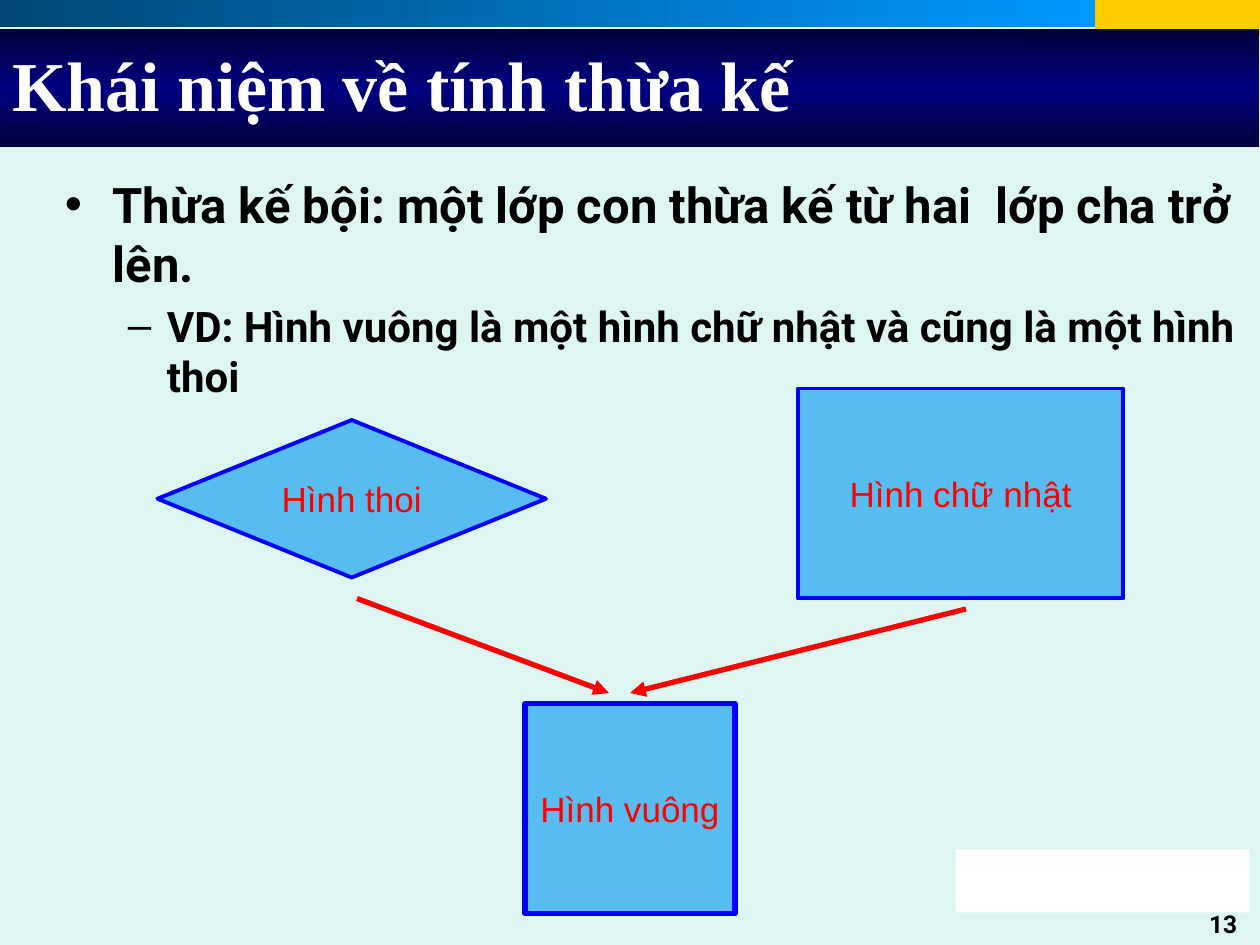
"""Build the slide on multiple inheritance, with a square derived from two parent shapes."""
import copy
from dataclasses import dataclass

import pptx
import pptx.dml.color
import pptx.enum.shapes
import pptx.enum.text
import pptx.oxml
import pptx.oxml.ns
import pptx.util

RGB = pptx.dml.color.RGBColor
SHAPE = pptx.enum.shapes.MSO_SHAPE
ALIGN = pptx.enum.text.PP_ALIGN
ANCHOR = pptx.enum.text.MSO_ANCHOR
qn = pptx.oxml.ns.qn

EMU_PER_PX = 7620
BACKGROUND = RGB(0xDE, 0xF6, 0xF1)
GOLD = RGB(0xFF, 0xCC, 0x00)
DEEP_BLUE = RGB(0x00, 0x47, 0x76)
BRIGHT_BLUE = RGB(0x00, 0x99, 0xFF)
MIDNIGHT = RGB(0x00, 0x00, 0x3B)
NAVY = RGB(0x00, 0x00, 0x80)
SKY = RGB(0x57, 0xBC, 0xEF)
BLUE = RGB(0x00, 0x00, 0xFF)
RED = RGB(0xFF, 0x00, 0x00)
WHITE = RGB(0xFF, 0xFF, 0xFF)
BLACK = RGB(0x00, 0x00, 0x00)


@dataclass(frozen=True)
class Box:
    left: int
    top: int
    width: int
    height: int

    def emu(self) -> list[int]:
        return [px * EMU_PER_PX for px in (self.left, self.top, self.width, self.height)]


@dataclass(frozen=True)
class Band:
    box: Box
    colors: tuple[RGB, ...]
    angle: int = 0


@dataclass(frozen=True)
class ClassNode:
    label: str
    outline: SHAPE
    box: Box
    border: float


@dataclass(frozen=True)
class Inheritance:
    parent: tuple[int, int]
    child: tuple[int, int]


@dataclass(frozen=True)
class Point:
    text: str
    bullet: str
    level: int
    size: int
    margin: float
    hanging: float
    before: float


BANDS = (
    Band(Box(1043, 0, 157, 34), (GOLD,)),
    Band(Box(0, 0, 1043, 26), (DEEP_BLUE, BRIGHT_BLUE)),
    Band(Box(0, 28, 1199, 112), (MIDNIGHT, NAVY, MIDNIGHT), 90),
    Band(Box(910, 809, 280, 60), (WHITE,)),
)
POINTS = (
    Point("Thừa kế bội: một lớp con thừa kế từ hai  lớp cha trở lên.", "•", 0, 28, 0.38, 0.38, 0),
    Point("VD: Hình vuông là một hình chữ nhật và cũng là một hình thoi", "–", 1, 24, 0.81, 0.31, 4.8),
)
NODES = (
    ClassNode("Hình vuông", SHAPE.RECTANGLE, Box(500, 670, 200, 200), 3),
    ClassNode("Hình chữ nhật", SHAPE.RECTANGLE, Box(760, 370, 310, 200), 2.25),
    ClassNode("Hình thoi", SHAPE.DIAMOND, Box(150, 400, 370, 150), 2.25),
)
LINKS = (
    Inheritance((920, 580), (600, 660)),
    Inheritance((340, 570), (580, 660)),
)


def apply(target, values: dict) -> None:
    for attribute, value in values.items():
        setattr(target, attribute, value)


def write(paragraph, text: str, font: str, size: int, color: RGB, bold: bool, align=ALIGN.LEFT) -> None:
    paragraph.alignment = align
    run = paragraph.add_run()
    run.text = text
    apply(run.font, {"name": font, "size": pptx.util.Pt(size), "bold": bold})
    run.font.color.rgb = color


def add_band(slide, band: Band) -> None:
    shape = slide.shapes.add_shape(SHAPE.RECTANGLE, *band.box.emu())
    shape.shadow.inherit = False
    shape.line.fill.background()
    if len(band.colors) == 1:
        shape.fill.solid()
        shape.fill.fore_color.rgb = band.colors[0]
        return
    shape.fill.gradient()
    shape.fill.gradient_angle = band.angle
    stops = next(shape.element.iter(qn("a:gsLst")))
    for _ in band.colors[2:]:
        stops.append(copy.deepcopy(stops[-1]))
    for index, (stop, color) in enumerate(zip(shape.fill.gradient_stops, band.colors)):
        stop.position = index / (len(band.colors) - 1)
        stop.color.rgb = color


def add_title(slide, text: str, box: Box) -> None:
    title = slide.shapes.title
    apply(title, dict(zip(("left", "top", "width", "height"), box.emu())))
    apply(title.text_frame, {
        "vertical_anchor": ANCHOR.MIDDLE,
        "word_wrap": True,
        "auto_size": pptx.enum.text.MSO_AUTO_SIZE.NONE,
    })
    write(title.text_frame.paragraphs[0], text, "Times New Roman", 40, WHITE, True)
    title.element.getparent().append(title.element)


def add_bullet(paragraph, point: Point) -> None:
    properties = paragraph._p.get_or_add_pPr()
    properties.set("marL", str(pptx.util.Inches(point.margin)))
    properties.set("indent", str(-pptx.util.Inches(point.hanging)))
    namespace = pptx.oxml.ns.nsdecls("a")
    for xml in (
        f'<a:buClr {namespace}><a:srgbClr val="{BLACK}"/></a:buClr>',
        f'<a:buFont {namespace} typeface="Arial"/>',
        f'<a:buChar {namespace} char="{point.bullet}"/>',
    ):
        properties.append(pptx.oxml.parse_xml(xml))


def add_points(slide, points: tuple[Point, ...], box: Box) -> None:
    frame = slide.shapes.add_textbox(*box.emu()).text_frame
    frame.word_wrap = True
    for index, point in enumerate(points):
        paragraph = frame.add_paragraph() if index else frame.paragraphs[0]
        apply(paragraph, {"level": point.level, "space_before": pptx.util.Pt(point.before)})
        add_bullet(paragraph, point)
        write(paragraph, point.text, "Roboto", point.size, BLACK, True)


def add_page_number(slide, number: str, box: Box) -> None:
    frame = slide.shapes.add_textbox(*box.emu()).text_frame
    frame.word_wrap = True
    write(frame.paragraphs[0], number, "Roboto", 14, BLACK, True, ALIGN.RIGHT)


def add_node(slide, node: ClassNode) -> None:
    shape = slide.shapes.add_shape(node.outline, *node.box.emu())
    shape.shadow.inherit = False
    shape.fill.solid()
    shape.fill.fore_color.rgb = SKY
    shape.line.color.rgb = BLUE
    shape.line.width = pptx.util.Pt(node.border)
    apply(shape.text_frame, {"vertical_anchor": ANCHOR.MIDDLE, "word_wrap": False})
    write(shape.text_frame.paragraphs[0], node.label, "Arial", 20, RED, False, ALIGN.CENTER)


def add_link(slide, link: Inheritance) -> None:
    ends = [px * EMU_PER_PX for px in link.parent + link.child]
    arrow = slide.shapes.add_connector(pptx.enum.shapes.MSO_CONNECTOR.STRAIGHT, *ends)
    arrow.line.color.rgb = RED
    arrow.line.width = pptx.util.Pt(3)
    namespace = pptx.oxml.ns.nsdecls("a")
    arrow.line._ln.append(pptx.oxml.parse_xml(f'<a:tailEnd {namespace} type="triangle"/>'))
    arrow.element.spPr.append(pptx.oxml.parse_xml(f"<a:effectLst {namespace}/>"))


def main() -> None:
    deck = pptx.Presentation()
    apply(deck, {"slide_width": 1200 * EMU_PER_PX, "slide_height": 900 * EMU_PER_PX})
    slide = deck.slides.add_slide(deck.slide_layouts[5])
    slide.background.fill.solid()
    slide.background.fill.fore_color.rgb = BACKGROUND
    for band in BANDS:
        add_band(slide, band)
    add_page_number(slide, "13", Box(910, 860, 280, 38))
    add_title(slide, "Khái niệm về tính thừa kế", Box(0, 20, 1140, 120))
    add_points(slide, POINTS, Box(50, 160, 1140, 670))
    for node in NODES:
        add_node(slide, node)
    for link in LINKS:
        add_link(slide, link)
    deck.save("out.pptx")


if __name__ == "__main__":
    main()
